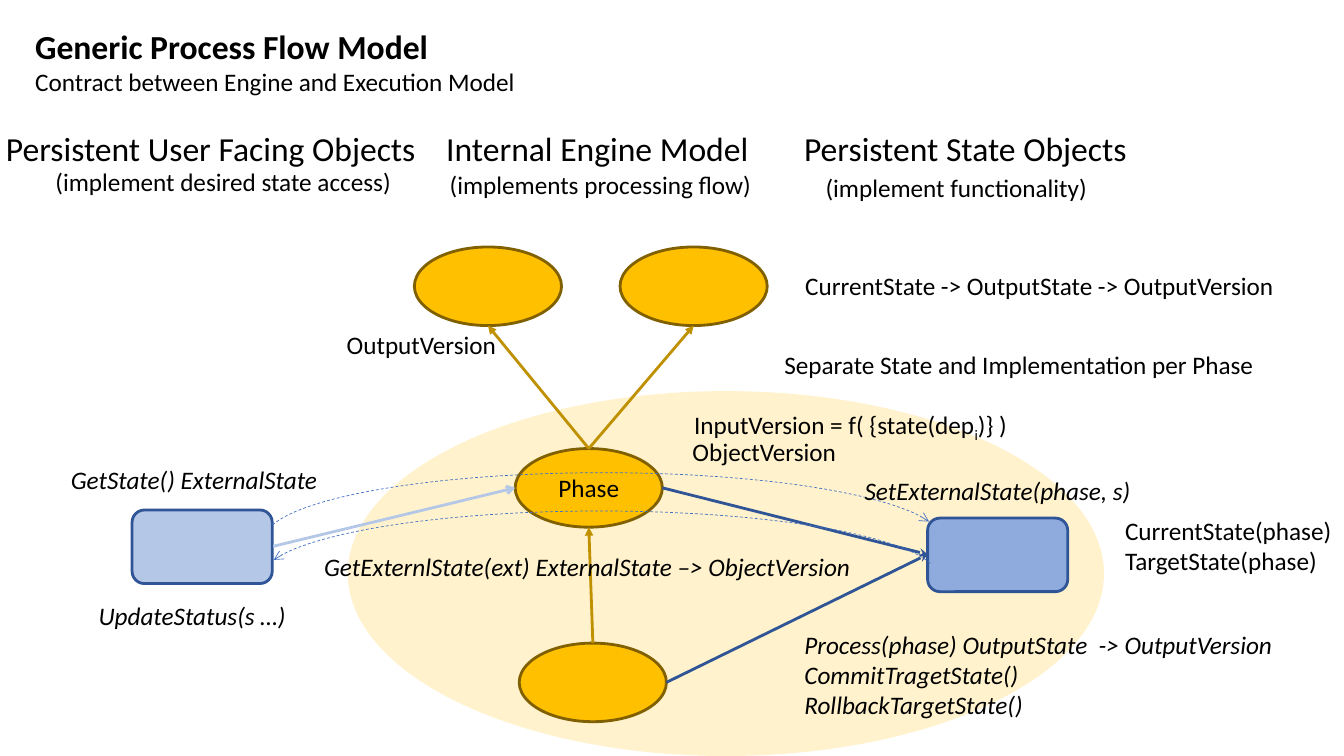
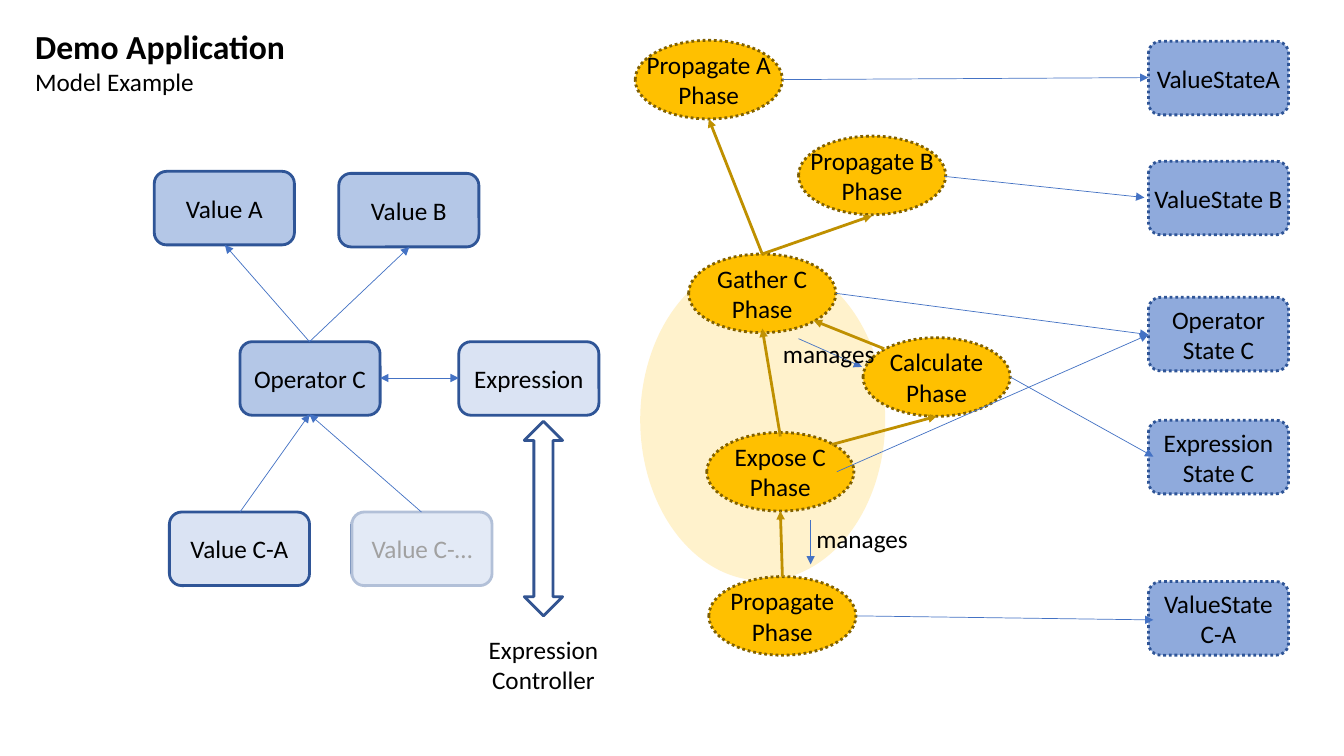
import pptx
import pptx.util
import pptx.dml.color
import pptx.enum.dml
import pptx.enum.shapes
import pptx.enum.text
import pptx.oxml
import pptx.oxml.ns
import lxml.etree

Inches, Pt = pptx.util.Inches, pptx.util.Pt
KIND = pptx.enum.shapes.MSO_SHAPE
DASH = pptx.enum.dml.MSO_LINE
ALIGN = pptx.enum.text.PP_ALIGN
rgb = pptx.dml.color.RGBColor.from_string
qn = pptx.oxml.ns.qn


class Theme:
    font = "Calibri"
    head, body = Pt(24), Pt(18)
    thick, thin = Pt(2), Pt(0.5)
    ink, white = "000000", "FFFFFF"
    glow, gold, rim, flow = "FFF2CC", "FFC000", "806000", "BF9000"
    pale, light, mid = "DAE3F3", "B4C7E7", "8FAADC"
    edge, link, arrow = "2F5597", "4472C4", "325491"
    oval, card = (1.46, 0.78), (1.39, 0.73)


def box(page, kind, at, text="", fill=None, line=None, width=Theme.thick,
        dash=None, align=ALIGN.CENTER, **extra):
    """Add a shape, or a text box when kind is None."""
    at = [Inches(n) for n in at]
    if kind is None:
        shape = page.shapes.add_textbox(*at)
    else:
        shape = page.shapes.add_shape(kind, *at)
        shape.shadow.inherit = False
        if fill:
            shape.fill.solid()
            shape.fill.fore_color.rgb = rgb(fill)
        else:
            shape.fill.background()
        if line:
            shape.line.color.rgb = rgb(line)
            shape.line.width = width
            shape.line.dash_style = dash
        else:
            shape.line.fill.background()
    if text:
        frame = shape.text_frame
        frame.text = text
        frame.word_wrap = False
        style = {"name": Theme.font, "size": Theme.body} | extra
        for para in frame.paragraphs:
            para.alignment = align
            for run in para.runs:
                run.font.color.rgb = rgb(Theme.ink)
                for key, val in style.items():
                    setattr(run.font, key, val)
    return shape


def link(page, start, end, color=Theme.link, width=Theme.thin, tail="triangle", head=None):
    """Add a straight arrow from start to end."""
    ends = [Inches(n) for n in (*start, *end)]
    wire = page.shapes.add_connector(pptx.enum.shapes.MSO_CONNECTOR.STRAIGHT, *ends)
    wire.line.color.rgb = rgb(color)
    wire.line.width = width
    ln = wire.line._get_or_add_ln()
    for tag, form in (("a:headEnd", head), ("a:tailEnd", tail)):
        if form:
            lxml.etree.SubElement(ln, qn(tag), type=form)
    lxml.etree.SubElement(wire._element.spPr, qn("a:effectLst"))


deck = pptx.Presentation()
deck.slide_width, deck.slide_height = Inches(13.33), Inches(7.5)

# Slides with their titles
pages = []
for title, sub, width in (
    ("Generic Process Flow Model", "Contract between Engine and Execution Model", 5.02),
    ("Demo Application", "Model Example", 2.71),
):
    page = deck.slides.add_slide(deck.slide_layouts[6])
    name = box(page, None, (0.25, 0.21, width, 0.81), f"{title}\n{sub}", align=ALIGN.LEFT)
    for key, val in {"size": Theme.head, "bold": True}.items():
        setattr(name.text_frame.paragraphs[0].runs[0].font, key, val)
    pages.append(page)
flow, demo = pages

# Flow model: phases and state objects
box(flow, KIND.OVAL, (3.45, 3.88, 7.5, 3.62), fill=Theme.glow)
for x, y, text in ((4.11, 2.45, ""), (6.15, 2.45, ""), (5.11, 4.45, "Phase"), (5.15, 6.38, "")):
    box(flow, KIND.OVAL, (x, y, *Theme.oval), text, Theme.gold, Theme.rim)
for x, y, fill in ((1.31, 5.06, Theme.light), (9.2, 5.14, Theme.mid)):
    box(flow, KIND.ROUNDED_RECTANGLE, (x, y, *Theme.card), fill=fill, line=Theme.edge)

# Flow model: arrows
for start, end, color, tail in (
    ((5.84, 4.45), (4.84, 3.23), Theme.flow, "triangle"),
    ((5.84, 4.45), (6.88, 3.23), Theme.flow, "triangle"),
    ((5.88, 6.38), (5.84, 5.23), Theme.flow, "triangle"),
    ((2.71, 5.42), (5.11, 4.84), Theme.light, "arrow"),
    ((6.57, 4.84), (9.2, 5.5), Theme.edge, "stealth"),
    ((6.61, 6.77), (9.2, 5.5), Theme.edge, "stealth"),
):
    link(flow, start, end, color, Theme.thick, tail)
for x, y, flip in ((2.62, 4.69, "0"), (2.59, 5.07, "1")):
    arc = box(flow, KIND.ARC, (x, y, 6.72, 1.33), line=Theme.link,
              width=Theme.thin, dash=DASH.DASH)
    arc.adjustments[0], arc.adjustments[1] = 109.54, 214.09
    arc._element.spPr.find(qn("a:xfrm")).set("flipH", flip)
    lxml.etree.SubElement(arc.line._get_or_add_ln(), qn("a:tailEnd"), type="arrow")

# Flow model: column heads
for x, width, text in (
    (-0.06, 4.3, "Persistent User Facing Objects"),
    (4.31, 3.23, "Internal Engine Model"),
    (7.86, 3.43, "Persistent State Objects"),
):
    box(flow, None, (x, 1.22, width, 0.5), text, size=Theme.head)

# Flow model: plain labels
for x, y, width, text in (
    (0.38, 1.6, 3.67, "(implement desired state access)"),
    (4.34, 1.63, 3.23, "(implements processing flow)"),
    (8.07, 1.66, 2.83, "(implement functionality)"),
    (7.86, 2.63, 4.9, "CurrentState -> OutputState -> OutputVersion"),
    (3.33, 3.22, 1.7, "OutputVersion"),
    (7.65, 3.42, 4.91, "Separate State and Implementation per Phase"),
    (6.76, 4.28, 1.64, "ObjectVersion"),
):
    box(flow, None, (x, y, width, 0.4), text)
box(flow, None, (11.06, 5.06, 2.27, 0.71), "CurrentState(phase)\nTargetState(phase)",
    align=ALIGN.LEFT)

# Flow model: formula with a subscript
rule = box(flow, None, (6.76, 4.01, 3.35, 0.4), "InputVersion = f( {state(dep")
para = rule.text_frame.paragraphs[0]
for text, base in (("i", "-25000"), (")} )", "0")):
    run = para.add_run()
    run.text = text
    run.font.color.rgb = rgb(Theme.ink)
    for key, val in {"name": Theme.font, "size": Theme.body}.items():
        setattr(run.font, key, val)
    run._r.get_or_add_rPr().set("baseline", base)

# Flow model: calls in italics
for x, y, width, text in (
    (0.59, 4.56, 2.67, "GetState() ExternalState"),
    (8.46, 4.67, 2.87, "SetExternalState(phase, s)"),
    (3.09, 5.42, 5.47, "GetExternlState(ext) ExternalState –> ObjectVersion"),
    (0.86, 5.91, 2.09, "UpdateStatus(s …)"),
):
    box(flow, None, (x, y, width, 0.4), text, italic=True)
box(flow, None, (7.88, 6.19, 4.89, 1.01),
    "Process(phase) OutputState  -> OutputVersion\nCommitTragetState()\nRollbackTargetState()",
    align=ALIGN.LEFT, italic=True)

# Demo: user objects
box(demo, KIND.OVAL, (6.35, 2.57, 2.43, 3.19), fill=Theme.glow)
for x, y, text, fill in (
    (1.53, 1.7, "Value A", Theme.light),
    (3.36, 1.72, "Value B", Theme.light),
    (2.38, 3.39, "Operator C", Theme.light),
    (4.55, 3.39, "Expression", Theme.pale),
    (1.68, 5.08, "Value C-A", Theme.pale),
    (3.49, 5.08, "Value C-…", Theme.light),
):
    box(demo, KIND.ROUNDED_RECTANGLE, (x, y, *Theme.card), text, fill, Theme.edge)
veil = box(demo, KIND.RECTANGLE, (3.48, 5.02, 2.68, 1.03), fill=Theme.white)
tint = veil._element.spPr.find(qn("a:solidFill"))[0]
lxml.etree.SubElement(tint, qn("a:alpha"), val="63000")

# Demo: phases
for x, y, text in (
    (6.3, 0.4, "Propagate A"),
    (7.92, 1.35, "Propagate B"),
    (6.83, 2.52, "Gather C"),
    (7.01, 4.29, "Expose C"),
    (8.56, 3.35, "Calculate"),
    (7.03, 5.72, "Propagate"),
):
    box(demo, KIND.OVAL, (x, y, *Theme.oval), f"{text}\nPhase", Theme.gold, Theme.rim,
        dash=DASH.ROUND_DOT)

# Demo: state objects
for y, text in (
    (0.41, "ValueStateA"),
    (1.6, "ValueState B"),
    (2.95, "Operator\nState C"),
    (4.17, "Expression\nState C"),
    (5.77, "ValueState\nC-A"),
):
    box(demo, KIND.ROUNDED_RECTANGLE, (11.39, y, *Theme.card), text, Theme.mid, Theme.edge,
        dash=DASH.ROUND_DOT)

# Demo: phase order
for start, end in (
    ((7.56, 2.52), (7.03, 1.18)),
    ((7.56, 2.52), (8.65, 2.14)),
    ((7.74, 4.33), (7.56, 3.26)),
    ((8.25, 4.41), (9.29, 4.13)),
    ((8.77, 3.46), (8.07, 3.18)),
    ((7.76, 5.72), (7.74, 5.07)),
):
    link(demo, start, end, Theme.flow, Theme.thick)

# Demo: thin links
for start, end in (
    ((3.07, 3.39), (2.23, 2.43)),
    ((3.07, 3.39), (4.06, 2.45)),
    ((2.38, 5.08), (3.07, 4.11)),
    ((4.18, 5.08), (3.07, 4.11)),
    ((7.92, 3.36), (8.55, 3.64)),
    ((8.04, 5.16), (8.04, 5.6)),
    ((7.76, 0.79), (11.39, 0.77)),
    ((9.37, 1.75), (11.35, 1.96)),
    ((8.29, 2.91), (11.39, 3.32)),
    ((8.3, 4.68), (11.39, 3.32)),
    ((10.02, 3.74), (11.44, 4.53)),
    ((8.49, 6.11), (11.44, 6.15)),
):
    link(demo, start, end)
link(demo, (3.77, 3.75), (4.55, 3.75), head="triangle")

# Demo: labels and controller
for x, y in ((7.66, 3.31), (7.99, 5.14)):
    box(demo, None, (x, y, 1.12, 0.4), "manages")
box(demo, KIND.UP_DOWN_ARROW, (5.2, 4.18, 0.38, 1.93), line=Theme.arrow)
box(demo, None, (4.74, 6.24, 1.3, 0.71), "Expression\nController")

deck.save("out.pptx")
